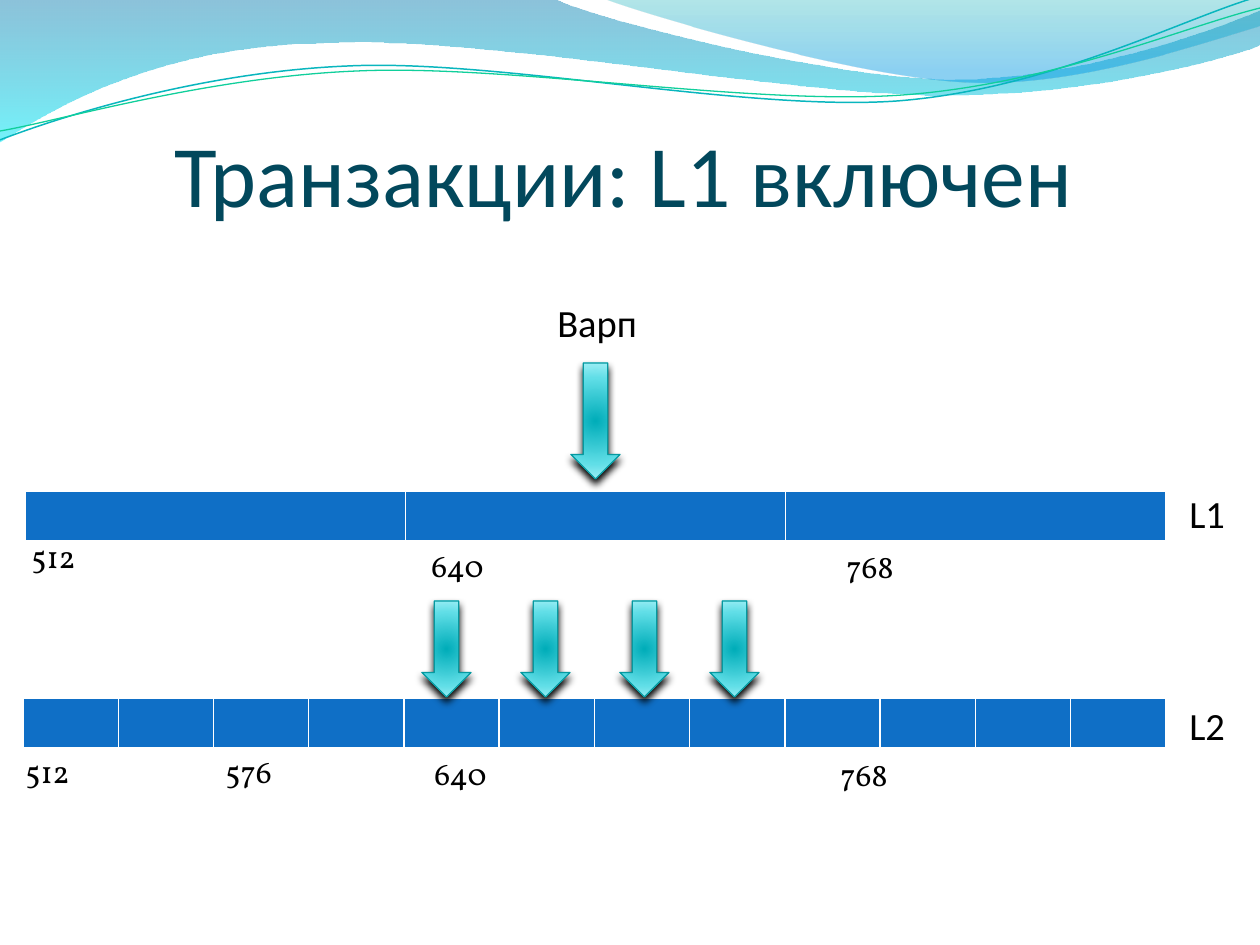
from dataclasses import dataclass
from math import cos, radians, sin
from typing import NamedTuple

from lxml import etree
from pptx import Presentation
from pptx.dml.color import RGBColor
from pptx.enum.shapes import MSO_SHAPE
from pptx.enum.text import MSO_ANCHOR, MSO_AUTO_SIZE, PP_ALIGN
from pptx.oxml import parse_xml
from pptx.oxml.ns import qn
from pptx.util import Emu, Pt

DOWN_ARROW = MSO_SHAPE.DOWN_ARROW
BOTTOM, TOP = MSO_ANCHOR.BOTTOM, MSO_ANCHOR.TOP
NO_FIT, GROW = MSO_AUTO_SIZE.NONE, MSO_AUTO_SIZE.SHAPE_TO_FIT_TEXT
CENTER = PP_ALIGN.CENTER
SCALE = 914400 / 126
NS = 'xmlns:a="http://schemas.openxmlformats.org/drawingml/2006/main"'
LINEAR_DOWN = '<a:lin ang="5400000" scaled="0"/>'
RADIAL = ('<a:path path="circle"><a:fillToRect l="50000" t="50000" '
          'r="50000" b="50000"/></a:path>')


class Stop(NamedTuple):
    pos: int
    color: str
    alpha: int = 100


@dataclass
class Wave:
    start: tuple[int, int]
    segments: list[tuple[int, ...]]
    stops: tuple[Stop, ...] = ()
    line: str = ""
    width: float = 0
    tilt: float = 0
    center: tuple[int, int] = (0, 0)


@dataclass
class Label:
    text: str
    x: int
    y: int
    w: int = 79
    h: int = 50
    font: str = "Vollkorn"
    size: int = 18
    spacing: float = 1.0
    fit: MSO_AUTO_SIZE = GROW


@dataclass
class CacheRow:
    x: int
    y: int
    w: int
    cells: int


@dataclass
class Arrow:
    x: int
    y: int
    h: int
    w: int = 49


WAVES = [
    Wave((0, 0), [(554, -1), (600, 21, 837, 79, 955, 79),
                  (1075, 79, 1207, 33, 1260, 11), (1261, 45),
                  (1239, 55, 1096, 96, 940, 95), (784, 95, 481, 35, 324, 43),
                  (163, 45, 58, 105, -1, 142)],
         (Stop(0, "0079AD", 45), Stop(100, "00E9F7", 55))),
    Wave((604, -1), [(641, 14, 859, 78, 969, 82),
                     (1079, 87, 1211, 40, 1260, 26), (1260, 0)],
         (Stop(0, "00ABB4", 30), Stop(80, "0099E4", 45),
          Stop(100, "0099E4", 45))),
    Wave((0, 140), [(60, 117, 199, 72, 349, 66), (498, 59, 747, 112, 898, 101),
                    (1050, 89, 1182, 19, 1257, -3)],
         line="09B6BE", width=0.85, tilt=-2.7, center=(629, 72)),
    Wave((0, 131), [(59, 121, 207, 77, 357, 71), (508, 64, 752, 106, 903, 95),
                    (1053, 84, 1186, 26, 1260, 8)],
         line="10CF9B", width=0.75, tilt=-2.7, center=(629, 74)),
]
ROWS = [CacheRow(25, 491, 1141, 3), CacheRow(23, 698, 1143, 12)]
ADDRESSES = [
    Label("512", 19, 531), Label("640", 419, 540), Label("768", 834, 541),
    Label("640", 422, 748), Label("768", 828, 749),
    Label("512", 13, 746), Label("576", 213, 746),
]
CAPTION = {"font": "Calibri", "size": 22, "spacing": 1.1, "fit": NO_FIT, "h": 73}
CAPTIONS = [
    Label("L1", 1177, 479, 78, **CAPTION),
    Label("L2", 1177, 691, 78, **CAPTION),
    Label("Варп", 545, 288, 165, **CAPTION),
]
ARROWS = [Arrow(571, 363, 116)] + [Arrow(x, 601, 96) for x in (422, 521, 620, 710)]
ARROW_STOPS = (Stop(0, "00ADB9"), Stop(68, "60DEE7"), Stop(100, "ADF3F9"))


def px(n: float) -> Emu:
    return Emu(round(n * SCALE))


def rgb(color: str) -> RGBColor:
    return RGBColor.from_string(color)


def apply(target, values: dict) -> None:
    for name, value in values.items():
        setattr(target, name, value)


def set_gradient(sp, stops: tuple[Stop, ...], direction: str) -> None:
    items = "".join(
        f'<a:gs pos="{s.pos * 1000}"><a:srgbClr val="{s.color}">'
        f'<a:alpha val="{s.alpha * 1000}"/></a:srgbClr></a:gs>' for s in stops)
    sp.fill.background()
    pr = sp._element.spPr
    pr.replace(pr.find(qn("a:noFill")), parse_xml(
        f'<a:gradFill {NS} rotWithShape="1"><a:gsLst>{items}</a:gsLst>'
        f'{direction}</a:gradFill>'))


def set_line(sp, color: str, width: float) -> None:
    sp.line.color.rgb = rgb(color)
    sp.line.width = Pt(width)


def untilt(point: tuple[int, int], wave: Wave) -> tuple[Emu, Emu]:
    (cx, cy), angle = wave.center, radians(-wave.tilt)
    dx, dy = point[0] - cx, point[1] - cy
    return (px(cx + dx * cos(angle) - dy * sin(angle)),
            px(cy + dx * sin(angle) + dy * cos(angle)))


def bend(sp, segments: list[tuple[int, ...]]) -> None:
    lines = iter(list(sp._element.spPr.iter(qn("a:lnTo"))))
    for seg in segments:
        first, *others = [next(lines) for _ in range(len(seg) // 2)]
        if others:
            curve = parse_xml(f"<a:cubicBezTo {NS}/>")
            first.addprevious(curve)
            for line in (first, *others):
                curve.append(line[0])
                line.getparent().remove(line)


def add_wave(shapes, wave: Wave) -> None:
    points = [wave.start]
    for seg in wave.segments:
        points += zip(seg[::2], seg[1::2])
    start, *rest = [untilt(point, wave) for point in points]
    builder = shapes.build_freeform(*start)
    builder.add_line_segments(rest, close=bool(wave.stops))
    sp = builder.convert_to_shape()
    bend(sp, wave.segments)
    sp.rotation = wave.tilt
    sp.shadow.inherit = False
    if wave.stops:
        set_gradient(sp, wave.stops, LINEAR_DOWN)
        sp.line.fill.background()
    else:
        sp.fill.background()
        set_line(sp, wave.line, wave.width)


def write(tf, text: str, font: str, size: int, color: str):
    p = tf.paragraphs[0]
    r = p.add_run()
    r.text = text
    apply(r.font, {"name": font, "size": Pt(size)})
    r.font.color.rgb = rgb(color)
    return p


def add_title(shapes, text: str) -> None:
    sp = shapes.title
    apply(sp, {"left": px(63), "top": px(95), "width": px(1122), "height": px(130)})
    tf = sp.text_frame
    apply(tf, {"auto_size": NO_FIT, "word_wrap": True, "vertical_anchor": BOTTOM,
               "margin_left": 0, "margin_top": px(6),
               "margin_right": 0, "margin_bottom": 0})
    write(tf, text, "Calibri", 50, "02485C").alignment = CENTER
    shapes._spTree.append(sp._element)


def add_label(shapes, label: Label) -> None:
    sp = shapes.add_textbox(px(label.x), px(label.y), px(label.w), px(label.h))
    tf = sp.text_frame
    apply(tf, {"word_wrap": True, "auto_size": label.fit, "vertical_anchor": TOP})
    p = write(tf, label.text, label.font, label.size, "000000")
    p.line_spacing = label.spacing


def set_borders(cell) -> None:
    pr = cell._tc.get_or_add_tcPr()
    for i, (side, width) in enumerate({"L": 1, "R": 1, "T": 1, "B": 3}.items()):
        pr.insert(i, etree.fromstring(
            f'<a:ln{side} {NS} w="{Pt(width)}"><a:solidFill>'
            f'<a:srgbClr val="FFFFFF"/></a:solidFill></a:ln{side}>'))


def add_cache_row(shapes, row: CacheRow) -> None:
    table = shapes.add_table(1, row.cells, px(row.x), px(row.y),
                             px(row.w), px(51)).table
    for column, cell in zip(table.columns, table.rows[0].cells):
        column.width = px(row.w / row.cells)
        cell.fill.solid()
        cell.fill.fore_color.rgb = rgb("0F6FC6")
        set_borders(cell)


def add_arrow(shapes, arrow: Arrow) -> None:
    sp = shapes.add_shape(DOWN_ARROW, px(arrow.x), px(arrow.y),
                          px(arrow.w), px(arrow.h))
    set_gradient(sp, ARROW_STOPS, RADIAL)
    set_line(sp, "0599A0", 0.75)
    sp.shadow.inherit = False
    sp._element.spPr.find(qn("a:effectLst")).append(parse_xml(
        f'<a:outerShdw {NS} blurRad="{Pt(4.5)}" dist="{Pt(3)}" dir="5400000" '
        'rotWithShape="0"><a:srgbClr val="000000"/></a:outerShdw>'))


def main() -> None:
    prs = Presentation()
    apply(prs, {"slide_width": px(1260), "slide_height": px(945)})
    shapes = prs.slides.add_slide(prs.slide_layouts[5]).shapes
    for wave in WAVES:
        add_wave(shapes, wave)
    add_title(shapes, "Транзакции: L1 включен")
    for row in ROWS:
        add_cache_row(shapes, row)
    for label in ADDRESSES + CAPTIONS:
        add_label(shapes, label)
    for arrow in ARROWS:
        add_arrow(shapes, arrow)
    prs.save("out.pptx")


if __name__ == "__main__":
    main()
